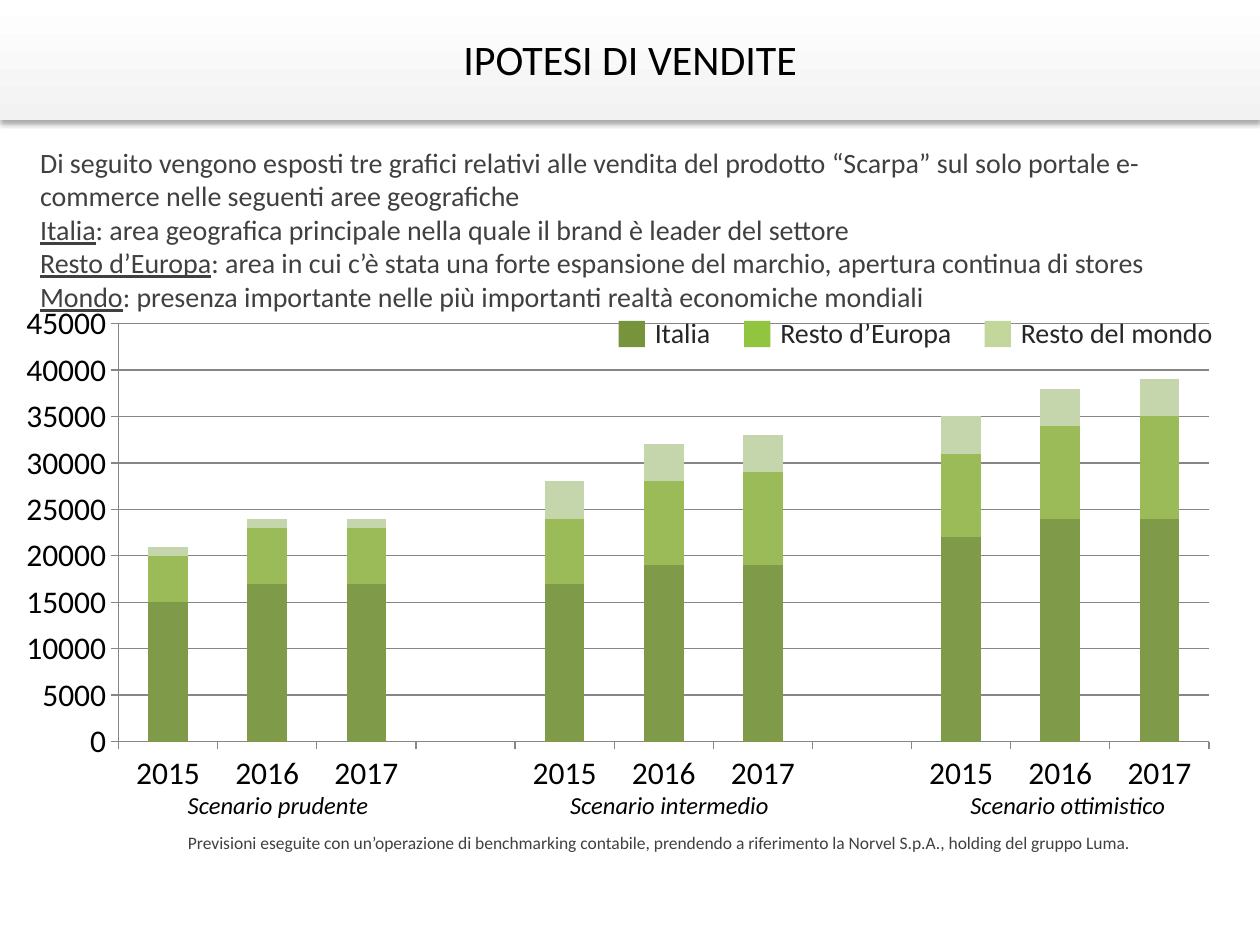
from dataclasses import dataclass

from lxml import etree
from pptx import Presentation
from pptx.chart.data import CategoryChartData
from pptx.dml.color import RGBColor
from pptx.enum.chart import XL_CHART_TYPE, XL_TICK_MARK
from pptx.enum.shapes import MSO_SHAPE
from pptx.enum.text import MSO_ANCHOR, MSO_AUTO_SIZE, PP_ALIGN
from pptx.oxml import parse_xml
from pptx.oxml.ns import nsdecls
from pptx.util import Cm, Pt

STACKED = XL_CHART_TYPE.COLUMN_STACKED
TICK_OUT = XL_TICK_MARK.OUTSIDE
RECTANGLE = MSO_SHAPE.RECTANGLE
MIDDLE = MSO_ANCHOR.MIDDLE
GROW = MSO_AUTO_SIZE.SHAPE_TO_FIT_TEXT
NO_AUTOFIT = MSO_AUTO_SIZE.NONE
LEFT, CENTER = PP_ALIGN.LEFT, PP_ALIGN.CENTER


@dataclass(frozen=True)
class Theme:
    font: str = "Calibri"
    black: str = "000000"
    body: str = "404040"
    legend: str = "262626"
    grid: str = "868686"
    band: tuple = ("F2F2F2", "FFFFFF")
    bars: tuple = ("7F9A48", "9BBB59", "C6D6AC")
    swatches: tuple = ("77933C", "92C53F", "C3D69B")
    title_size: int = 24
    axis_size: int = 18
    body_size: int = 16
    caption_size: int = 14
    note_size: int = 10


AREAS = ("Italia", "Resto d’Europa", "Resto del mondo")
YEARS = ("2015", "2016", "2017")
# Each scenario holds one row per area, one value per year
SCENARIOS = {
    "Scenario prudente": ((15000, 17000, 17000), (5000, 6000, 6000), (1000, 1000, 1000)),
    "Scenario intermedio": ((17000, 19000, 19000), (7000, 9000, 10000), (4000, 4000, 4000)),
    "Scenario ottimistico": ((22000, 24000, 24000), (9000, 10000, 11000), (4000, 4000, 4000)),
}
CAPTION_LEFTS = (2.57, 10.46, 18.49)
LEGEND_SLOTS = ((12.47, 2.5), (15, 4.5), (19.85, 4.7))
INTRO = (
    ("", "Di seguito vengono esposti tre grafici relativi alle vendita del prodotto “Scarpa” "
         "sul solo portale e-commerce nelle seguenti aree geografiche"),
    ("Italia", ": area geografica principale nella quale il brand è leader del settore"),
    ("Resto d’Europa", ": area in cui c’è stata una forte espansione del marchio, "
                       "apertura continua di stores"),
    ("Mondo", ": presenza importante nelle più importanti realtà economiche mondiali"),
)
NOTE = ("Previsioni eseguite con un’operazione di benchmarking contabile, prendendo a "
        "riferimento la Norvel S.p.A., holding del gruppo Luma.")


def apply(target, values):
    for name, value in values.items():
        setattr(target, name, value)


def color(code):
    return RGBColor.from_string(code)


def joined(groups):
    """Chain the groups, leaving one empty slot between neighbours."""
    result = []
    for group in groups:
        result += [None, *group] if result else group
    return result


class SlideBuilder:
    """Holds the theme and the current slide."""

    def __init__(self, page, theme):
        self.page = page
        self.theme = theme

    def style(self, font, size, code, **extra):
        apply(font, {"name": self.theme.font, "size": Pt(size), **extra})
        font.color.rgb = color(code)

    def title(self, text, area):
        box = self.page.shapes.title
        self.page.shapes.element.append(box.element)  # in front of the band
        apply(box, dict(zip(("left", "top", "width", "height"), map(Cm, area))))
        apply(box.text_frame, {"text": text, "vertical_anchor": MIDDLE,
                               "auto_size": NO_AUTOFIT, "word_wrap": True})
        para = box.text_frame.paragraphs[0]
        para.alignment = CENTER
        self.style(para.runs[0].font, self.theme.title_size, self.theme.black)

    def text(self, lines, area, size, code, align=LEFT, italic=False):
        """Each line is a pair: an underlined lead, then plain text."""
        frame = self.page.shapes.add_textbox(*map(Cm, area)).text_frame
        apply(frame, {"word_wrap": True, "auto_size": GROW})
        for index, line in enumerate(lines):
            para = frame.add_paragraph() if index else frame.paragraphs[0]
            para.alignment = align
            for part, underline in zip(line, (True, False)):
                if part:
                    span = para.add_run()
                    span.text = part
                    self.style(span.font, size, code, italic=italic, underline=underline)

    def rectangle(self, area, code=None):
        box = self.page.shapes.add_shape(RECTANGLE, *map(Cm, area))
        box.shadow.inherit = False
        box.line.fill.background()
        if code:
            box.fill.solid()
            box.fill.fore_color.rgb = color(code)
        return box

    def band(self, area):
        box = self.rectangle(area)
        box.fill.gradient()
        box.fill.gradient_angle = 90
        for stop, code in zip(box.fill.gradient_stops, self.theme.band):
            stop.color.rgb = color(code)
        effects = box.element.spPr.find("{*}effectLst")
        effects.append(parse_xml(
            f'<a:outerShdw {nsdecls("a")} blurRad="39370" dist="22860" dir="5400000" '
            'rotWithShape="0"><a:srgbClr val="000000"><a:alpha val="35000"/>'
            '</a:srgbClr></a:outerShdw>'))

    def chart(self, area):
        data = CategoryChartData()
        data.categories = [year or "" for year in joined([YEARS] * len(SCENARIOS))]
        for index, name in enumerate(AREAS):
            data.add_series(name, joined(rows[index] for rows in SCENARIOS.values()))
        chart = self.page.shapes.add_chart(STACKED, *map(Cm, area), data).chart
        apply(chart, {"has_legend": False, "has_title": False})
        self.style(chart.font, self.theme.axis_size, self.theme.black)
        plot = chart.plots[0]
        apply(plot, {"gap_width": 150, "overlap": 100, "vary_by_categories": False})
        for series, code in zip(plot.series, self.theme.bars):
            series.format.fill.solid()
            series.format.fill.fore_color.rgb = color(code)
        values = chart.value_axis
        apply(values, {"minimum_scale": 0, "maximum_scale": 45000, "major_unit": 5000,
                       "has_major_gridlines": True})
        for axis in (chart.category_axis, values):
            axis.major_tick_mark = TICK_OUT
        for part in (chart.category_axis, values, values.major_gridlines):
            part.format.line.width = Pt(0.75)
            part.format.line.color.rgb = color(self.theme.grid)
        self.place_plot(chart, {"x": 0.095, "y": 0.057, "w": 0.885, "h": 0.823})

    def place_plot(self, chart, fractions):
        """Fix the inner plot area as fractions of the chart frame."""
        plot_area = chart.element.find(".//{*}plotArea")
        for old in plot_area.findall("{*}layout"):
            plot_area.remove(old)
        layout = parse_xml(
            f'<c:layout {nsdecls("c")}><c:manualLayout><c:layoutTarget val="inner"/>'
            '<c:xMode val="edge"/><c:yMode val="edge"/></c:manualLayout></c:layout>')
        space = etree.QName(layout).namespace
        for name, value in fractions.items():
            etree.SubElement(layout[0], f"{{{space}}}{name}", val=str(value))
        plot_area.insert(0, layout)


def main():
    deck = Presentation()
    apply(deck, {"slide_width": Cm(25.4), "slide_height": Cm(19.05)})
    theme = Theme()
    slide = SlideBuilder(deck.slides.add_slide(deck.slide_layouts[5]), theme)

    slide.chart((0.03, 5.94, 24.84, 10.24))
    for name, left in zip(SCENARIOS, CAPTION_LEFTS):
        slide.text([("", name)], (left, 15.8, 6.07, 0.86), theme.caption_size,
                   theme.black, CENTER, italic=True)
    slide.band((0, 0, 25.4, 2.42))
    slide.title("IPOTESI DI VENDITE", (1.91, 0.18, 21.59, 2.01))
    slide.text(INTRO, (0.56, 2.8, 24.31, 3.68), theme.body_size, theme.body)
    for name, code, (left, width) in zip(AREAS, theme.swatches, LEGEND_SLOTS):
        slide.rectangle((left, 6.47, 0.53, 0.53), code)
        slide.text([("", name)], (left + 0.48, 6.23, width, 0.94),
                   theme.body_size, theme.legend)
    slide.text([("", NOTE)], (3.54, 16.64, 20.42, 0.69), theme.note_size, theme.body)
    deck.save("out.pptx")


if __name__ == "__main__":
    main()
